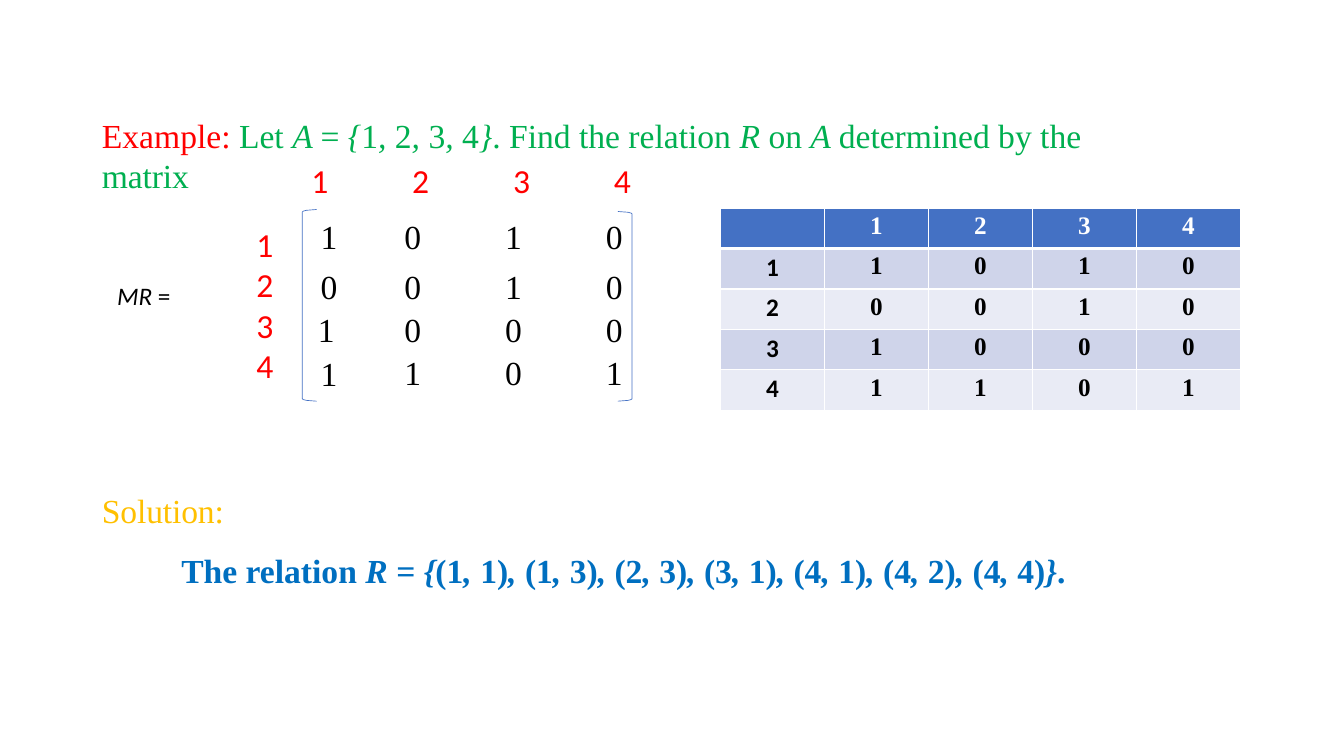
"""Build a slide that reads a relation from its zero-one matrix."""
from dataclasses import dataclass

from lxml.etree import SubElement
from pptx import Presentation
from pptx.dml.color import RGBColor
from pptx.enum.text import MSO_ANCHOR as Anchor, PP_ALIGN as Align
from pptx.oxml.ns import qn
from pptx.util import Cm, Pt


@dataclass(frozen=True)
class Theme:
    serif: str = "Times New Roman"
    sans: str = "Calibri"
    body: float = 24
    small: float = 18
    bracket_line: float = 0.48
    red: str = "FF0000"
    green: str = "00AF50"
    gold: str = "FFC000"
    blue: str = "006FC0"
    black: str = "000000"
    white: str = "FFFFFF"
    accent: str = "4471C4"
    bands: tuple = ("CFD4EA", "E9EBF5")


THEME = Theme()
ELEMENTS = ["1", "2", "3", "4"]
MATRIX = ["1010", "0010", "1000", "1101"]

# Asterisks switch italics on and off.
QUESTION = ("Let *A *= *{*1*, *2*, *3*, *4*}*. Find the relation *R *on *A *"
            "determined by the ")
ANSWER = ("The relation *R *= *{*(1*, *1)*, *(1*, *3)*, *(2*, *3)*, *(3*, *1)*, *"
          "(4*, *1)*, *(4*, *2)*, *(4*, *4)*}*.")

COLUMN_LEFT, COLUMN_STEP, COLUMN_TOP = 10.16, 2.54, 3.63
FIRST_COLUMN_INDENTS = [0.1, 0.1, 0.03, 0.1]
ROW_GAPS = [10.6, 7.2, 1.9, 2.1]
BRACKETS = [(7.62, 0.36, 5.28, 10.11), (15.93, -0.36, 5.33, 10.11)]
BRACKET_CURVE = [(1, 0), (0.64, 0.01), (0.29, 0.02), (0.07, 0.04), (0, 0.06)]
TABLE_LEFT, TABLE_TOP, TABLE_COLUMN, TABLE_ROW = 18.16, 5.24, 2.62, 1.02


def add_runs(paragraph, text, font, color, size=THEME.body, bold=False, spacing=0):
    """Add text run by run, italic between asterisks."""
    for position, part in enumerate(text.split("*")):
        if not part:
            continue
        run = paragraph.add_run()
        run.text = part
        run.font.name, run.font.size = font, Pt(size)
        run.font.bold, run.font.italic = bold, position % 2 == 1
        run.font.color.rgb = RGBColor.from_string(color)
        if spacing:
            run.font._element.set("spc", str(round(spacing * 100)))


def add_text(slide, box, inset, paragraphs):
    """Add a text box from (indent, space before, runs) paragraphs."""
    frame = slide.shapes.add_textbox(*map(Cm, box)).text_frame
    frame.word_wrap = True
    frame.vertical_anchor = Anchor.TOP
    frame.margin_left = frame.margin_right = frame.margin_bottom = 0
    frame.margin_top = Cm(inset)
    for number, (indent, gap, runs) in enumerate(paragraphs):
        paragraph = frame.add_paragraph() if number else frame.paragraphs[0]
        paragraph._p.get_or_add_pPr().set("marL", str(Cm(indent)))
        if number:
            paragraph.space_before = Pt(gap)
        for text, style in runs:
            add_runs(paragraph, text, **style)


def add_bracket(slide, spine, reach, top, bottom):
    """Draw a square bracket with softened corners."""
    upper = [(spine + reach * x, top + y) for x, y in BRACKET_CURVE]
    lower = [(spine + reach * x, bottom - y) for x, y in reversed(BRACKET_CURVE)]
    points = [(Cm(x), Cm(y)) for x, y in upper + lower]
    builder = slide.shapes.build_freeform(*points[0])
    builder.add_line_segments(points[1:], close=False)
    shape = builder.convert_to_shape()
    shape.shadow.inherit = False
    shape.fill.background()
    shape.line.color.rgb = RGBColor.from_string(THEME.accent)
    shape.line.width = Pt(THEME.bracket_line)


def style_cell(cell, fill, top_width, bottom_width):
    """Give a cell white borders, its fill and its margins."""
    properties = cell._tc.get_or_add_tcPr()
    for side, width in zip("LRTB", (1, 1, top_width, bottom_width)):
        line = SubElement(properties, qn(f"a:ln{side}"), w=str(Pt(width)))
        solid = SubElement(line, qn("a:solidFill"))
        SubElement(solid, qn("a:srgbClr"), val=THEME.white)
    cell.fill.solid()
    cell.fill.fore_color.rgb = RGBColor.from_string(fill)
    cell.margin_left = cell.margin_right = cell.margin_bottom = 0
    cell.margin_top = Cm(0.1)


def add_relation_table(slide):
    """Add the matrix as a table with labelled rows and columns."""
    rows = [["", *ELEMENTS]] + [[name, *row] for name, row in zip(ELEMENTS, MATRIX)]
    count = len(rows)
    table = slide.shapes.add_table(
        count, count, Cm(TABLE_LEFT), Cm(TABLE_TOP),
        Cm(TABLE_COLUMN * count), Cm(TABLE_ROW * count)).table
    for column in table.columns:
        column.width = Cm(TABLE_COLUMN)
    for r, values in enumerate(rows):
        table.rows[r].height = Cm(TABLE_ROW)
        fill = THEME.bands[(r - 1) % 2] if r else THEME.accent
        for c, value in enumerate(values):
            cell = table.cell(r, c)
            style_cell(cell, fill, 3 if r == 1 else 1, 1 if r else 3)
            paragraph = cell.text_frame.paragraphs[0]
            paragraph.alignment = Align.CENTER
            paragraph.font.size = Pt(THEME.small)
            add_runs(paragraph, value, THEME.sans if r and not c else THEME.serif,
                     THEME.black if r else THEME.white, THEME.small, True, -0.5)


def main():
    """Assemble and save the slide."""
    presentation = Presentation()
    presentation.slide_width, presentation.slide_height = Cm(33.87), Cm(19.05)
    slide = presentation.slides.add_slide(presentation.slide_layouts[6])

    green = dict(font=THEME.serif, color=THEME.green)
    red = dict(font=THEME.serif, color=THEME.red)
    gold = dict(font=THEME.serif, color=THEME.gold, spacing=-0.1)
    blue = dict(font=THEME.serif, color=THEME.blue, bold=True)
    label = dict(font=THEME.sans, color=THEME.red, spacing=-0.5)
    entry = dict(font=THEME.serif, color=THEME.black, spacing=-0.5)
    name = dict(font=THEME.sans, color=THEME.black, size=THEME.small)

    add_text(slide, (2.54, 2.87, 27, 2.1), 0.03, [
        (0.03, 0, [("Example: ", red), (QUESTION, green),
                   ("matrix", green | dict(spacing=-0.1))])])
    add_text(slide, (2.54, 11.81, 24.36, 3.1), 0.53, [
        (0.03, 0, [("Solution:", gold)]), (2.03, 14.2, [(ANSWER, blue)])])
    add_text(slide, (2.92, 7.04, 1.5, 0.84), 0.03, [
        (0.03, 0, [("*MR *", name), ("=", name | dict(spacing=-0.5))])])
    add_text(slide, (6.43, 5.61, 0.51, 4.14), 0.03,
             [(0.03, 0, [(element, label)]) for element in ELEMENTS])
    add_text(slide, (7.82, 4.01, 0.51, 1.09), 0.03, [(0.03, 0, [(ELEMENTS[0], label)])])

    columns = list(zip(*MATRIX))
    add_text(slide, (7.98, 5.16, 0.56, 4.8), 0.28, [
        (indent, gap, [(value, entry)])
        for indent, gap, value in zip(FIRST_COLUMN_INDENTS, ROW_GAPS, columns[0])])
    for number, (element, column) in enumerate(zip(ELEMENTS[1:], columns[1:])):
        entries = [(0.03, gap, [(value, entry)]) for gap, value in zip(ROW_GAPS, column)]
        add_text(slide, (COLUMN_LEFT + COLUMN_STEP * number, COLUMN_TOP, 0.69, 6.3), 0.41,
                 [(0.23, 0, [(element, label)])] + entries)

    for bracket in BRACKETS:
        add_bracket(slide, *bracket)
    add_relation_table(slide)
    presentation.save("out.pptx")


if __name__ == "__main__":
    main()
